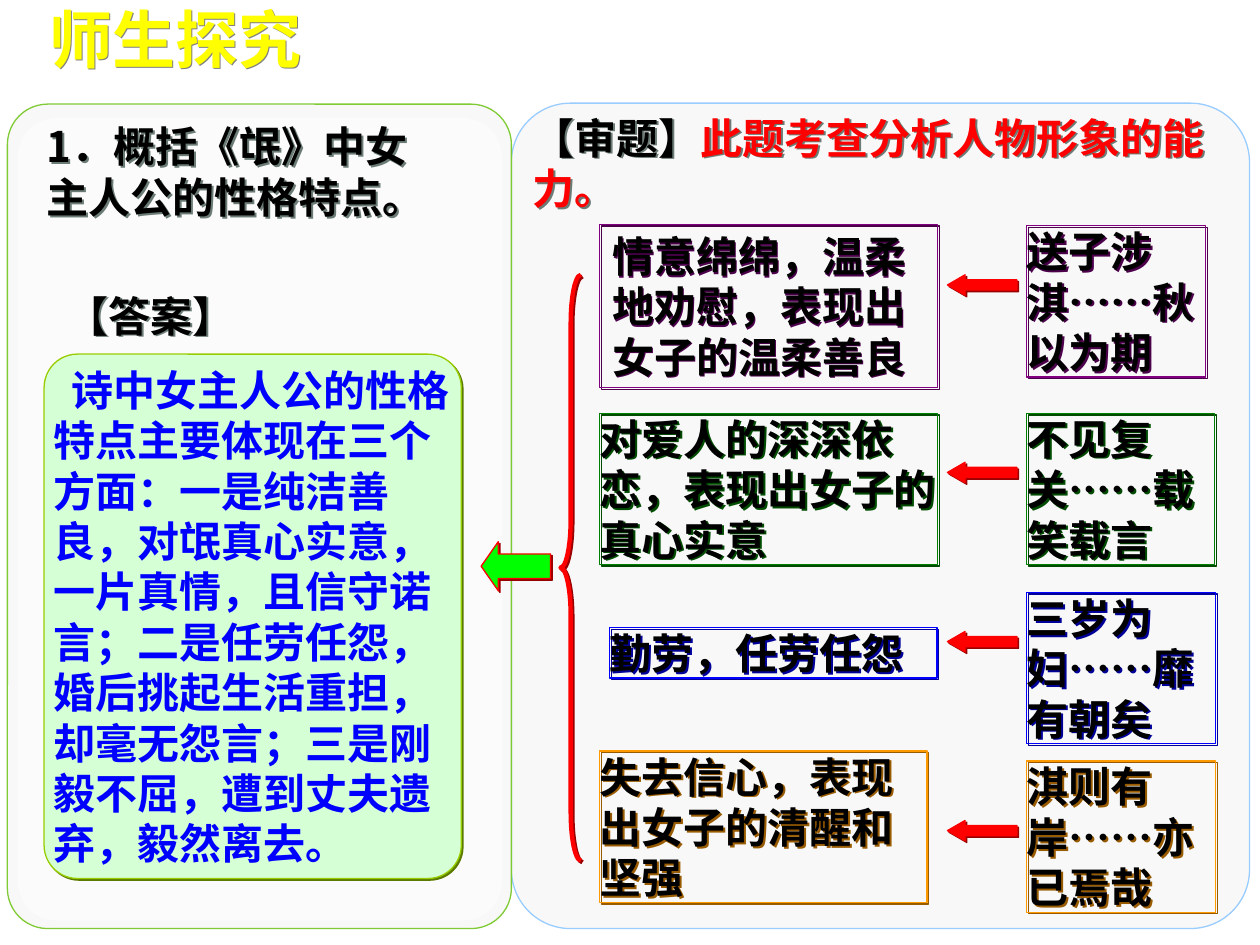
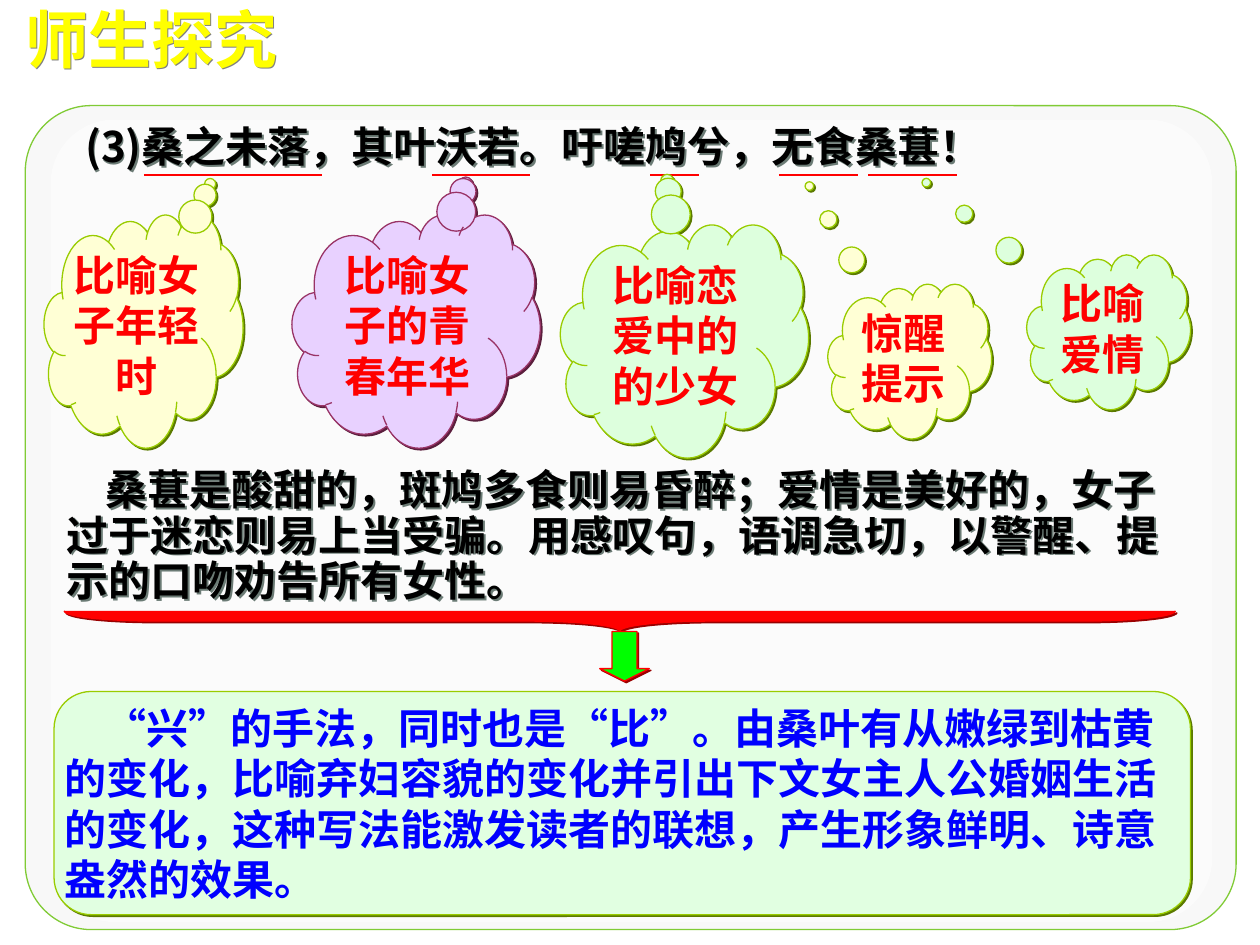
"""Build two lesson slides analysing the poem 《氓》."""
import pptx
import pptx.util
import pptx.dml.color
import pptx.enum.shapes
import pptx.enum.text
import pptx.oxml
import pptx.oxml.ns

Cm, Pt = pptx.util.Cm, pptx.util.Pt
MSO = pptx.enum.shapes.MSO_SHAPE
ANCHOR = pptx.enum.text.MSO_ANCHOR
ALIGN = pptx.enum.text.PP_ALIGN
rgb = pptx.dml.color.RGBColor.from_string
NS = pptx.oxml.ns.nsdecls("a")

HAN = "Noto Sans CJK SC"
BLACK, RED, GREEN, BLUE, YELLOW = "000000", "FF0000", "00FF00", "0000FF", "FFFF00"
PANEL, PANEL_EDGE, LIME = "F8F8F8", "80CB35", "99CC00"
TEXT_SHADOW = "6B7B75"
PAD = (0.25, 0.13)


def draw(slide, preset, box, fill=None, line=None, shadow=True, adjust=(), width=0.75):
    """Add a preset shape with an optional shadow in a darker line colour."""
    shape = slide.shapes.add_shape(preset, *map(Cm, box))
    shape.shadow.inherit = False
    for index, value in enumerate(adjust):
        shape.adjustments[index] = value
    if fill:
        shape.fill.solid()
        shape.fill.fore_color.rgb = rgb(fill)
    else:
        shape.fill.background()
    if line:
        shape.line.color.rgb = rgb(line)
        shape.line.width = Pt(width)
    else:
        shape.line.fill.background()
    if line and shadow:
        dark = "".join(f"{int(channel * 0.6):02X}" for channel in rgb(line))
        shape._element.spPr.find(pptx.oxml.ns.qn("a:effectLst")).append(pptx.oxml.parse_xml(
            f'<a:outerShdw {NS} dist="17780" dir="2700000"><a:srgbClr val="{dark}"/></a:outerShdw>'))
    return shape


def write(shape, text, color=BLACK, size=24, font="Arial", pitch=28.8, pad=(0, 0),
          anchor=ANCHOR.MIDDLE, align=ALIGN.LEFT, indent=0, wrap=True, shadow=None):
    """Set one formatted paragraph and return it."""
    frame = shape.text_frame
    frame.word_wrap = wrap
    frame.auto_size = pptx.enum.text.MSO_AUTO_SIZE.NONE
    frame.vertical_anchor = anchor
    frame.margin_left = frame.margin_right = Cm(pad[0])
    frame.margin_top = frame.margin_bottom = Cm(pad[1])
    paragraph = frame.paragraphs[0]
    paragraph.add_run().text = text
    paragraph.alignment = align
    paragraph.line_spacing = Pt(pitch)
    properties = paragraph._p.get_or_add_pPr()
    properties.set("hangingPunct", "0")
    if indent:
        properties.set("indent", str(Cm(indent)))
    paragraph.font.size = Pt(size)
    paragraph.font.bold = True
    paragraph.font.name = font
    paragraph.font.color.rgb = rgb(color)
    paragraph.font._element.append(pptx.oxml.parse_xml(f'<a:ea {NS} typeface="{HAN}"/>'))
    if shadow:
        shape._element.spPr.append(pptx.oxml.parse_xml(
            f'<a:effectLst {NS}><a:outerShdw dist="17780" dir="2700000">'
            f'<a:srgbClr val="{shadow}"/></a:outerShdw></a:effectLst>'))
    return paragraph


deck = pptx.Presentation()
deck.slide_width, deck.slide_height = Cm(25.4), Cm(19.05)
character, metaphor = [deck.slides.add_slide(deck.slide_layouts[5]) for _ in range(2)]

draw(character, MSO.ROUNDED_RECTANGLE, (10.31, 2.08, 14.88, 16.64), PANEL, "99CCFF", False, [0.08])
for slide, title_left, outer, inner in (
    (character, 0.99, (0.15, 2.1, 10.16, 16.62), (0.36, 2.38, 9.76, 16.18)),
    (metaphor, 0.51, (0.51, 2.13, 24.41, 16.61), (1.02, 2.41, 23.42, 16.18)),
):
    draw(slide, MSO.ROUNDED_RECTANGLE, outer, PANEL, PANEL_EDGE, False, [0.08])
    sheen = draw(slide, MSO.ROUNDED_RECTANGLE, inner, "FFFFFF", adjust=[0.08])
    sheen.fill._xPr.find(".//" + pptx.oxml.ns.qn("a:srgbClr")).append(
        pptx.oxml.parse_xml(f'<a:alpha {NS} val="50000"/>'))
    title = slide.shapes.title
    title.left, title.top, title.width, title.height = map(Cm, (title_left, 0, 6.5, 1.52))
    write(title, "师生探究", YELLOW, 36, pitch=43.2, anchor=ANCHOR.TOP, shadow="808080")

for box, text, font in (
    ((0.69, 2.31, 8.4, 2.29), "1．概括《氓》中女主人公的性格特点。", HAN),
    ((1.09, 5.72, 4.6, 1.27), "【答案】", "Arial"),
):
    label = character.shapes.add_textbox(*map(Cm, box))
    write(label, text, font=font, pad=PAD, shadow=TEXT_SHADOW)

focus = character.shapes.add_textbox(*map(Cm, (10.49, 2.13, 14.4, 2.29)))
focus_line = write(focus, "【审题】", pad=PAD, anchor=ANCHOR.TOP, shadow=TEXT_SHADOW)
ability = focus_line.add_run()
ability.text = "此题考查分析人物形象的能力。"
ability.font.color.rgb = rgb(RED)

answer = draw(character, MSO.ROUNDED_RECTANGLE, (0.89, 7.14, 8.41, 10.57), "D5FFD5", LIME,
              adjust=[0.08])
write(answer, "诗中女主人公的性格特点主要体现在三个方面：一是纯洁善良，对氓真心实意，一片真情，"
      "且信守诺言；二是任劳任怨，婚后挑起生活重担，却毫无怨言；三是刚毅不屈，遭到丈夫遗弃，毅然离去。",
      BLUE, font=HAN, indent=0.35)

for color, trait_box, pad, trait, arrow_top, quote_top, quote_width, quote in (
    ("800080", (12.09, 4.52, 6.81, 3.3), PAD, "情意绵绵，温柔地劝慰，表现出女子的温柔善良",
     5.54, 4.55, 3.61, "送子涉淇……秋以为期"),
    ("008000", (12.09, 8.33, 6.81, 3.05), (0, 0), "对爱人的深深依恋，表现出女子的真心实意",
     9.32, 8.33, 3.79, "不见复关……载笑载言"),
    ("0000FF", (12.29, 12.65, 6.6, 1.02), (0, 0), "勤劳，任劳任怨",
     12.73, 11.94, 3.81, "三岁为妇……靡有朝矣"),
    ("FF9900", (12.09, 15.14, 6.6, 3.05), (0, 0), "失去信心，表现出女子的清醒和坚强",
     16.54, 15.34, 3.81, "淇则有岸……亦已焉哉"),
):
    write(draw(character, MSO.RECTANGLE, trait_box, line=color), trait, pad=pad)
    quote_box = (20.7, quote_top, quote_width, 3.05)
    write(draw(character, MSO.RECTANGLE, quote_box, line=color), quote)
    draw(character, MSO.LEFT_ARROW, (19.1, arrow_top, 1.4, 0.41), RED, RED, adjust=(0.5, 0.87))

draw(character, MSO.LEFT_BRACE, (11.3, 5.54, 0.41, 11.81), line=RED,
     adjust=[11.81 / 12 / 0.41], width=2.5)
draw(character, MSO.LEFT_ARROW, (9.7, 10.92, 1.4, 0.99), GREEN, RED, adjust=(0.5, 0.35))

verse = metaphor.shapes.add_textbox(*map(Cm, (1.47, 2.31, 18.9, 1.27)))
write(verse, "(3)桑之未落，其叶沃若。吁嗟鸠兮，无食桑葚！", font=HAN, pad=PAD, wrap=False,
      shadow=TEXT_SHADOW)

for start, end, box, pointer, fill, edge, meaning in (
    (2.9, 6.5, (0.89, 4.32, 4.01, 4.7), (0.335, -0.63), "FFFFD5", LIME, "比喻女子年轻时"),
    (8.71, 10.69, (5.89, 4.32, 5, 4.7), (0.2, -0.632), "E8D1FF", "993366", "比喻女子的青春年华"),
    (13.11, 14.1, (11.3, 4.52, 5, 4.7), (-0.07, -0.686), "DDFFDD", LIME, "比喻恋爱中的的少女"),
    (17.5, 19.3, (20.7, 5.13, 3.3, 3.12), (-1.114, -0.964), "DDFFDD", LIME, "比喻爱情"),
    (15.7, 17.3, (16.69, 5.72, 3.3, 3.12), (-0.613, -1.131), "FFFFD5", LIME, "惊醒提示"),
):
    underline = metaphor.shapes.add_connector(
        pptx.enum.shapes.MSO_CONNECTOR.STRAIGHT, Cm(start), Cm(3.53), Cm(end), Cm(3.53))
    underline.line.color.rgb = rgb(RED)
    underline.line.width = Pt(1)
    underline._element.spPr.append(pptx.oxml.parse_xml(f"<a:effectLst {NS}/>"))
    cloud = draw(metaphor, MSO.CLOUD_CALLOUT, box, fill, edge, adjust=pointer)
    write(cloud, meaning, RED, anchor=ANCHOR.TOP, align=ALIGN.CENTER)

warning = metaphor.shapes.add_textbox(*map(Cm, (1.09, 9.32, 23.19, 3)))
write(warning, "桑葚是酸甜的，斑鸠多食则易昏醉；爱情是美好的，女子过于迷恋则易上当受骗。"
      "用感叹句，语调急切，以警醒、提示的口吻劝告所有女性。",
      font=HAN, pitch=25.9, pad=PAD, anchor=ANCHOR.TOP, indent=0.79, shadow=TEXT_SHADOW)

technique = draw(metaphor, MSO.ROUNDED_RECTANGLE, (1.09, 13.94, 22.91, 4.5), "E1FFE1", LIME)
write(technique, "“兴”的手法，同时也是“比”。由桑叶有从嫩绿到枯黄的变化，比喻弃妇容貌的变化"
      "并引出下文女主人公婚姻生活的变化，这种写法能激发读者的联想，产生形象鲜明、诗意盎然的效果。",
      BLUE, font=HAN, indent=0.79)

summary = draw(metaphor, MSO.LEFT_BRACE, (12.29, 1.32, 0.41, 22.4), RED, RED,
               adjust=[22.4 / 12 / 0.41])
summary.rotation = 270
draw(metaphor, MSO.DOWN_ARROW, (12.09, 12.73, 1, 1), GREEN, RED, adjust=(0.5, 0.25))

deck.save("out.pptx")
